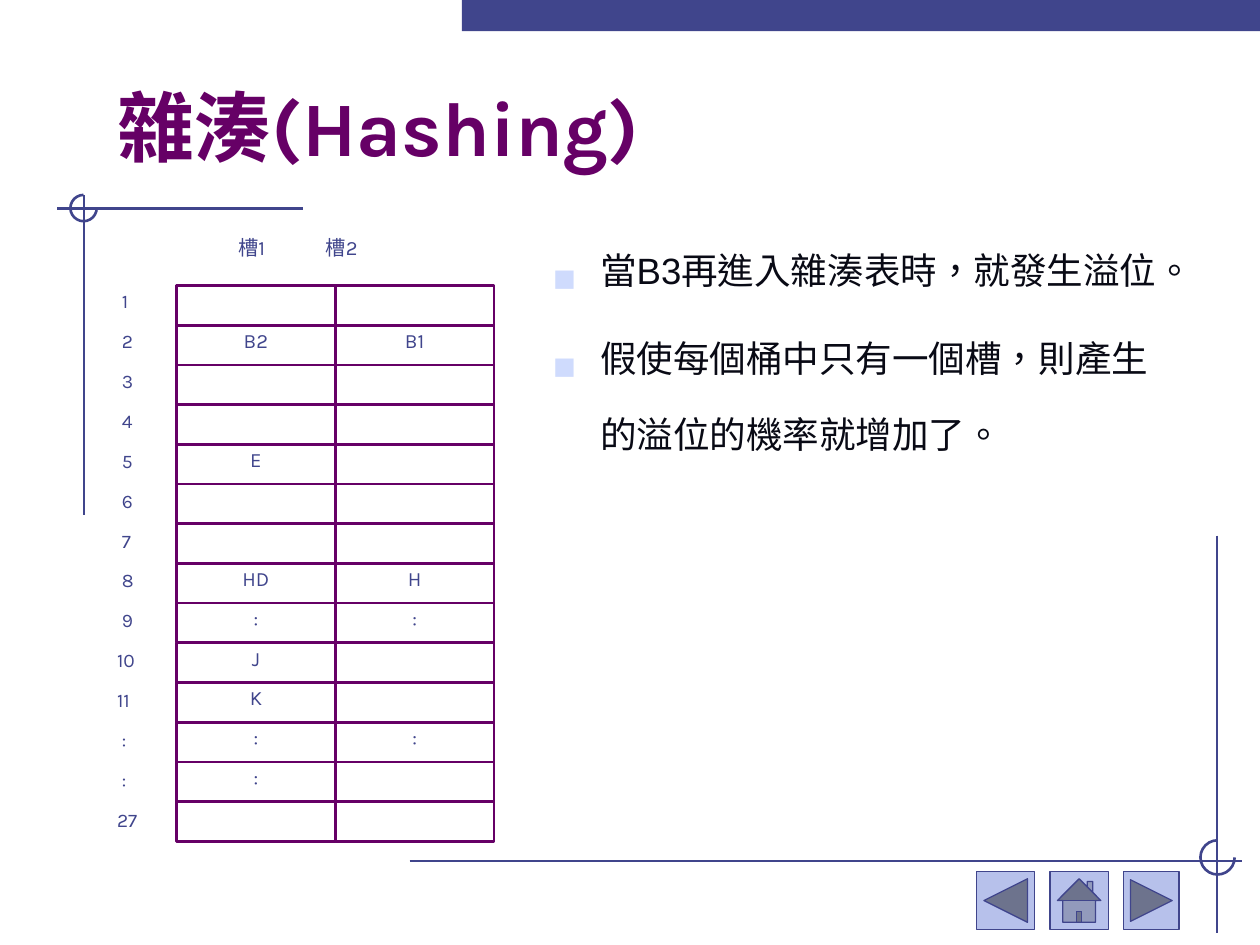
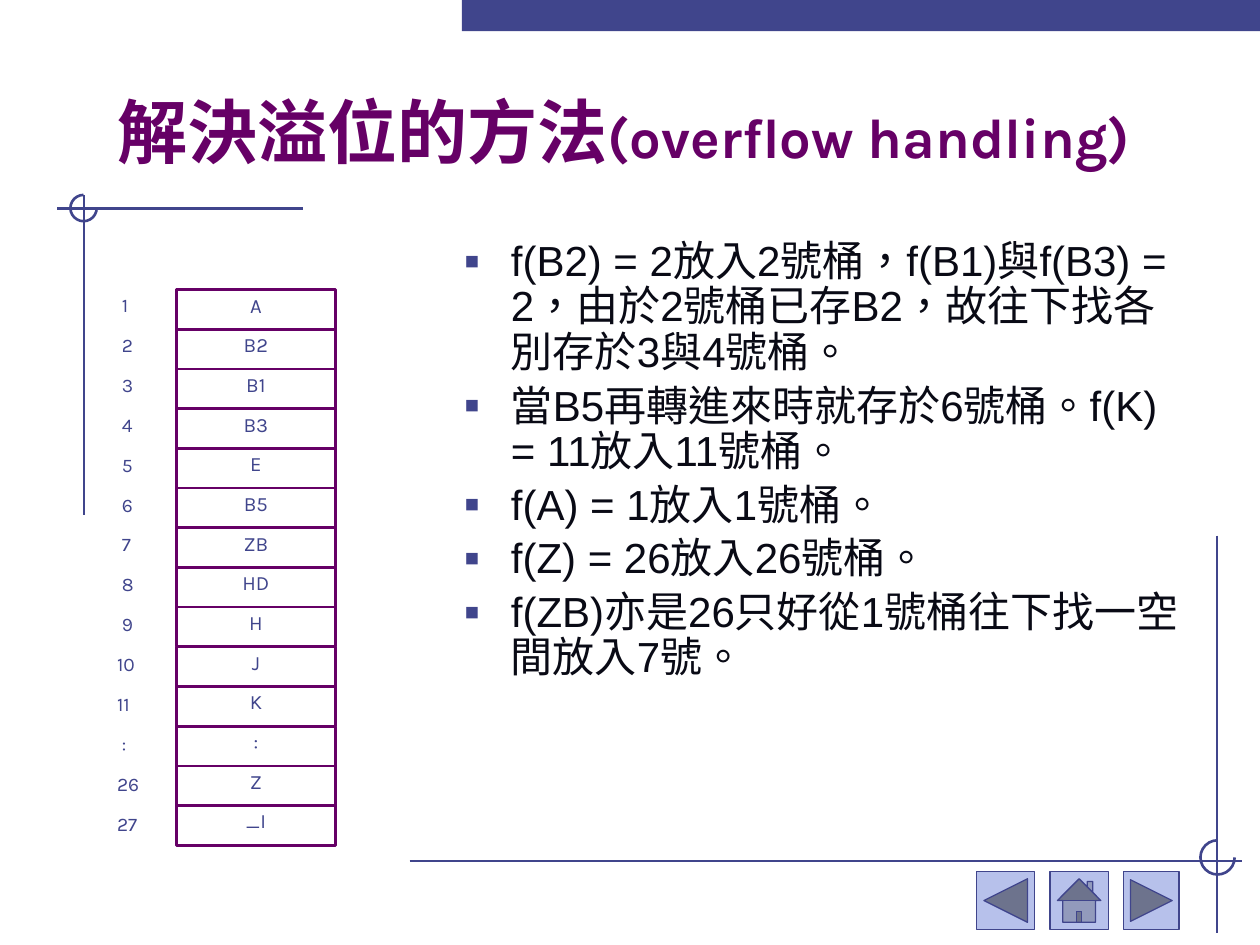
from lxml import etree
from pptx import Presentation
from pptx import util as u
from pptx.dml import color
from pptx.enum import shapes, text
from pptx.oxml import ns

Cm, Pt = u.Cm, u.Pt
BLUE, PURPLE, INK, BUTTON, PALE = "40458C", "660066", "090A15", "B7C1EB", "CFDBFD"


def paint(fmt, hex_colour, width=None):
    """Colour a font, a fill or (with a width) a line."""
    if width:
        fmt.width = Pt(width)
        fmt = fmt.fill
    if hasattr(fmt, "solid"):
        fmt.solid()
        fmt = fmt.fore_color
    else:
        fmt = fmt.color
    fmt.rgb = color.RGBColor.from_string(hex_colour)


def write(p, words, size=20, font="Karla", colour=BLUE, bold=False, raised=True):
    """Add one formatted run to a paragraph."""
    r = p.add_run()
    r.text = words
    r.font.size, r.font.name, r.font.bold = Pt(size), font, bold
    paint(r.font, colour)
    r.font._element.set("lang", "en-US")
    r.font._element.set("altLang", "zh-TW")
    if any(ord(letter) > 0x2E80 for letter in words):
        r.font._element.set("lang", "zh-TW")
    if raised:
        r.font._element.set("baseline", "30000")


# Content
numbers = [str(n) for n in range(1, 12)]
pages = [
    dict(
        title=[("雜湊(Hashing)", 44)],
        labels=numbers + [":", ":", "27"],
        slots=[["", "B2", "", "", "E", "", "", "HD", ":", "J", "K", ":", ":", ""],
               ["", "B1", "", "", "", "", "", "H", ":", "", "", ":", "", ""]],
        table_top=5.76, heading="槽1\t槽2",
        body=["當B3再進入雜湊表時，就發生溢位。",
              "假使每個桶中只有一個槽，則產生的溢位的機率就增加了。"],
        body_left=10.9, size=36, raised=True, spacing=1.0,
        bullet=("■", PALE, 60),
    ),
    dict(
        title=[("解決溢位的方法", 40), ("(overflow handling)", 32)],
        labels=numbers + [":", "26", "27"],
        slots=[["A", "B2", "B1", "B3", "E", "B5", "ZB", "HD", "H", "J", "K", ":", "Z", "_I"]],
        table_top=5.84, heading=None,
        body=["f(B2) = 2放入2號桶，f(B1)與f(B3) = 2，由於2號桶已存B2，故往下找各別存於3與4號桶。",
              "當B5再轉進來時就存於6號桶。f(K) = 11放入11號桶。",
              "f(A) = 1放入1號桶。",
              "f(Z) = 26放入26號桶。",
              "f(ZB)亦是26只好從1號桶往下找一空間放入7號。"],
        body_left=9.1, size=24, raised=False, spacing=0.9,
        bullet=("▪", BLUE, 110),
    ),
]

# Shared frame
rules = [(6.1, 4.2, 1.14, 4.2), (1.69, 3.94, 1.69, 10.39),
         (8.26, 17.36, 25.04, 17.36), (24.53, 10.8, 24.53, 18.8)]
arcs = [(1.42, 3.93, 0.53), (24.2, 16.94, 0.69)]
buttons = [(shapes.MSO_SHAPE.ACTION_BUTTON_BACK_OR_PREVIOUS, 1.17),
           (shapes.MSO_SHAPE.ACTION_BUTTON_HOME, 1.17),
           (shapes.MSO_SHAPE.ACTION_BUTTON_FORWARD_OR_NEXT, 1.12)]
BODY_RIGHT, SLOT_LEFT, ROW, SLOT = 24.1, 3.56, 0.8, 3.2

prs = Presentation()
prs.slide_width, prs.slide_height = Cm(25.4), Cm(19.05)

for page in pages:
    s = prs.slides.add_slide(prs.slide_layouts[5])

    # Corner rules and three-quarter circles
    for ends in rules:
        line = s.shapes.add_connector(shapes.MSO_CONNECTOR.STRAIGHT, *map(Cm, ends))
        paint(line.line, BLUE, 1.5)
        etree.SubElement(line._element.spPr, ns.qn("a:effectLst"))
    for left, top, size in arcs:
        sp = s.shapes.add_shape(shapes.MSO_SHAPE.ARC, Cm(left), Cm(top), Cm(size), Cm(size))
        sp.adjustments[0], sp.adjustments[1] = 0, 270 * 0.6
        sp.shadow.inherit = False
        sp.fill.background()
        paint(sp.line, BLUE, 1.5)

    # Top band
    sp = s.shapes.add_shape(shapes.MSO_SHAPE.RECTANGLE, Cm(9.31), 0, Cm(16.09), Cm(0.63))
    sp.shadow.inherit = False
    paint(sp.fill, BLUE)
    sp.line.fill.background()

    # Navigation buttons
    for i, (kind, width) in enumerate(buttons):
        sp = s.shapes.add_shape(kind, Cm(19.69 + 1.48 * i), Cm(17.57), Cm(width), Cm(1.17))
        sp.shadow.inherit = False
        paint(sp.fill, BUTTON)
        paint(sp.line, BLUE, 0.75)

    # Title
    sp = s.shapes.title
    sp.left, sp.top, sp.width, sp.height = Cm(2.12), Cm(1.49), Cm(21.97), Cm(2.11)
    tf = sp.text_frame
    tf.auto_size = text.MSO_AUTO_SIZE.NONE
    tf.vertical_anchor = text.MSO_ANCHOR.BOTTOM
    tf.paragraphs[0].alignment = text.PP_ALIGN.LEFT
    for words, size in page["title"]:
        write(tf.paragraphs[0], words, size=size, colour=PURPLE, bold=True, raised=False)

    # Bulleted body
    sp = s.shapes.add_textbox(Cm(page["body_left"]), Cm(4.72),
                              Cm(BODY_RIGHT - page["body_left"]), Cm(12.4))
    tf = sp.text_frame
    tf.word_wrap = True
    mark, mark_colour, mark_size = page["bullet"]
    for i, words in enumerate(page["body"]):
        p = tf.add_paragraph() if i else tf.paragraphs[0]
        p.line_spacing = page["spacing"]
        p.space_before = Pt(page["size"] * 0.2 if i else 0)
        pPr = p._p.get_or_add_pPr()
        pPr.set("marL", str(Cm(0.95)))
        pPr.set("indent", str(-Cm(0.95)))
        bu = etree.SubElement(pPr, ns.qn("a:buClr"))
        etree.SubElement(bu, ns.qn("a:srgbClr"), val=mark_colour)
        etree.SubElement(pPr, ns.qn("a:buSzPct"), val=str(mark_size * 1000))
        etree.SubElement(pPr, ns.qn("a:buFont"), typeface="Arial")
        etree.SubElement(pPr, ns.qn("a:buChar"), char=mark)
        write(p, words, size=page["size"], font="Arial", colour=INK, raised=page["raised"])

    # Buckets: one box for each slot
    for c, column in enumerate(page["slots"]):
        for n, words in enumerate(column):
            sp = s.shapes.add_shape(shapes.MSO_SHAPE.RECTANGLE, Cm(SLOT_LEFT + SLOT * c),
                                    Cm(page["table_top"] + ROW * n), Cm(SLOT), Cm(ROW))
            sp.shadow.inherit = False
            sp.fill.background()
            paint(sp.line, PURPLE, 1.5)
            if words:
                tf = sp.text_frame
                tf.word_wrap = False
                tf.vertical_anchor = text.MSO_ANCHOR.MIDDLE
                tf.paragraphs[0].alignment = text.PP_ALIGN.CENTER
                write(tf.paragraphs[0], words)

    # Bucket numbers, single characters slightly indented
    sp = s.shapes.add_textbox(Cm(2.11), Cm(page["table_top"] - 0.13), Cm(1.24), Cm(11.48))
    tf = sp.text_frame
    tf.word_wrap = False
    for n, words in enumerate(page["labels"]):
        p = tf.add_paragraph() if n else tf.paragraphs[0]
        if len(words) == 1:
            p._p.get_or_add_pPr().set("marL", str(Cm(0.1)))
        write(p, words, size=19)

    # Slot headings
    if page["heading"]:
        sp = s.shapes.add_textbox(Cm(4.55), Cm(4.53), Cm(4.67), Cm(1.09))
        p = sp.text_frame.paragraphs[0]
        tabs = etree.SubElement(p._p.get_or_add_pPr(), ns.qn("a:tabLst"))
        etree.SubElement(tabs, ns.qn("a:tab"), pos=str(Cm(1.76)), algn="l")
        write(p, page["heading"])

prs.save("out.pptx")
